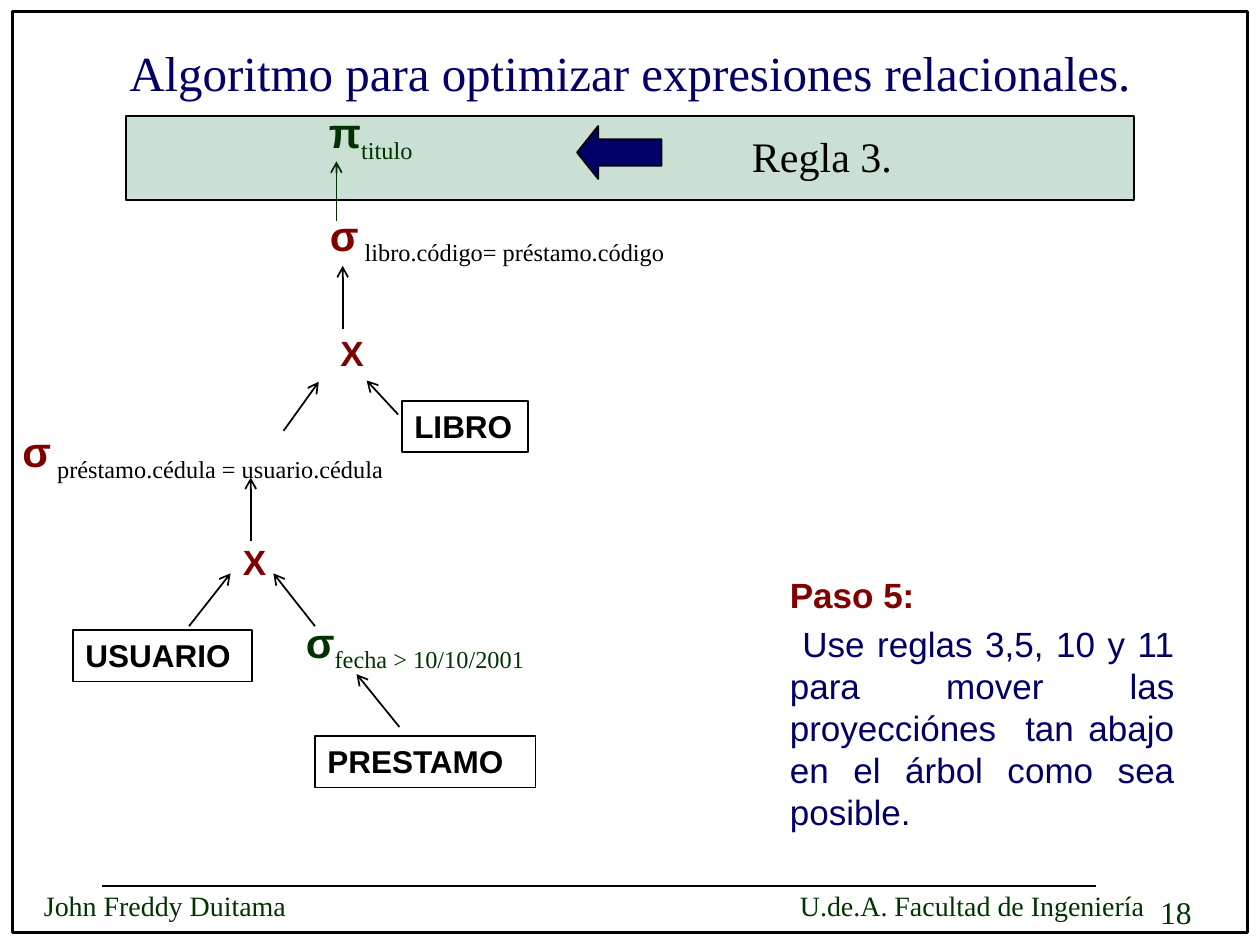
from lxml import etree
from pptx import Presentation
from pptx import util as u
from pptx.dml.color import RGBColor
from pptx.enum import shapes, text
from pptx.oxml import ns

COLORS = {"ink": "000000", "navy": "000066", "green": "003300",
          "maroon": "800000", "band": "CAE0D4"}
SERIF, SANS = "Times New Roman", "Arial"
LEFT, CENTER, JUSTIFY = (text.PP_ALIGN.LEFT, text.PP_ALIGN.CENTER,
                         text.PP_ALIGN.JUSTIFY)


def rgb(name):
    return RGBColor.from_string(COLORS[name])


def inches(*lengths):
    return [u.Inches(length) for length in lengths]


def write(frame, content, size=18, font=SANS, color="ink", bold=False,
          align=LEFT, before=0, tab=None, subscript=None, subscript_color="ink"):
    """Add one paragraph, with an optional subscript run after its text."""
    first = not frame.text
    paragraph = frame.paragraphs[0] if first else frame.add_paragraph()
    paragraph.alignment = align
    paragraph.space_before = u.Pt(before)
    if tab:
        tabs = etree.SubElement(paragraph._p.get_or_add_pPr(), ns.qn("a:tabLst"))
        etree.SubElement(tabs, ns.qn("a:tab"), pos=str(u.Inches(tab)), algn="l")
    parts = [(content, font, color, bold)]
    if subscript:
        parts.append((subscript, SERIF, subscript_color, False))
    for index, (words, face, ink, heavy) in enumerate(parts):
        run = paragraph.add_run()
        run.text = words
        run.font.size, run.font.name, run.font.bold = u.Pt(size), face, heavy
        run.font.color.rgb = rgb(ink)
        if index:
            run._r.get_or_add_rPr().set("baseline", "-25000")


def add_text(slide, box, content, **style):
    frame = slide.shapes.add_textbox(*inches(*box)).text_frame
    frame.word_wrap = True
    frame.auto_size = text.MSO_AUTO_SIZE.SHAPE_TO_FIT_TEXT
    write(frame, content, **style)
    return frame


def add_block(slide, box, kind=shapes.MSO_SHAPE.RECTANGLE, fill=None, width=1):
    block = slide.shapes.add_shape(kind, *inches(*box))
    block.shadow.inherit = False
    if fill:
        block.fill.solid()
        block.fill.fore_color.rgb = rgb(fill)
    else:
        block.fill.background()
    block.line.color.rgb = rgb("ink")
    block.line.width = u.Pt(width)
    return block


def add_line(slide, start, end, color="ink", arrow=False):
    line = slide.shapes.add_connector(shapes.MSO_CONNECTOR.STRAIGHT,
                                      *inches(*start, *end))
    line.line.color.rgb = rgb(color)
    line.line.width = u.Pt(1)
    if arrow:
        etree.SubElement(line.line._get_or_add_ln(), ns.qn("a:tailEnd"), type="arrow")
    etree.SubElement(line._element.spPr, ns.qn("a:effectLst"))


def draw_frame(slide, box):
    """Page border, footer rule, footer and page number."""
    left, top, width, height = box
    bottom = top + height
    add_block(slide, box, width=2)
    add_line(slide, (left + 0.71, bottom - 0.37), (left + 8.6, bottom - 0.37))
    add_text(slide, (left + 0.15, bottom - 0.4, 9.25, 0.35),
             "John Freddy Duitama\tU.de.A. Facultad de Ingeniería",
             size=16, font=SERIF, color="green", tab=6)
    add_text(slide, (left + 9.01, bottom - 0.36, 0.77, 0.4), "18",
             font=SERIF, color="green")


def place_title(slide, box):
    title = slide.shapes.title
    title.left, title.top, title.width, title.height = inches(*box)
    title.text_frame.word_wrap = True
    title.text_frame.vertical_anchor = text.MSO_ANCHOR.MIDDLE
    write(title.text_frame, "Algoritmo para optimizar expresiones relacionales.",
          size=28, font=SERIF, color="navy", align=CENTER)


def draw_rule_band(slide, box):
    """Highlighted band with the rule that applies to the projection."""
    left, top = box[:2]
    add_block(slide, box, fill="band")
    arrow = add_block(slide, (left + 3.58, top + 0.08, 0.67, 0.42),
                      shapes.MSO_SHAPE.LEFT_ARROW, fill="navy")
    arrow.adjustments[0], arrow.adjustments[1] = 0.5, 0.4
    add_text(slide, (left + 4.87, top + 0.07, 2.83, 0.5), "Regla 3.",
             size=24, font=SERIF)


def draw_tree(slide, box):
    """Query tree: operators, joins, relations and the arrows between them."""
    left, top = box[:2]

    operators = [
        (2.42, 0, 6.42, " π", "titulo", "green", "green"),
        (2.52, 0.81, 6.83, "σ", " libro.código= préstamo.código", "maroon", "ink"),
        (0.08, 2.53, 3.67, "σ", " préstamo.cédula = usuario.cédula", "maroon", "ink"),
        (2.33, 4.04, 6.83, "σ", "fecha > 10/10/2001", "green", "green"),
    ]
    for x, y, width, symbol, condition, color, condition_color in operators:
        add_text(slide, (left + x, top + y, width, 0.5), symbol, size=24,
                 color=color, bold=True, align=JUSTIFY, subscript=condition,
                 subscript_color=condition_color)

    joins = [(2.42, 1.78, 0.75, CENTER), (1.83, 3.44, 0.5, JUSTIFY)]
    for x, y, width, align in joins:
        add_text(slide, (left + x, top + y, width, 0.43), "X", size=20,
                 color="maroon", bold=True, align=align)

    relations = [(3.19, 2.38, 1, "LIBRO"), (0.58, 4.2, 1.42, "USUARIO"),
                 (2.5, 5.04, 1.75, "PRESTAMO")]
    for x, y, width, name in relations:
        frame = add_block(slide, (left + x, top + y, width, 0.41)).text_frame
        frame.word_wrap = True
        frame.vertical_anchor = text.MSO_ANCHOR.TOP
        write(frame, name, bold=True, align=JUSTIFY)

    arrows = [
        (2.67, 0.95, 2.67, 0.48, "green"),
        (2.72, 1.81, 2.72, 1.31, "ink"),
        (2.25, 2.62, 2.53, 2.23, "ink"),
        (3.16, 2.49, 2.91, 2.22, "ink"),
        (1.99, 3.49, 1.99, 2.99, "ink"),
        (1.5, 4.17, 1.83, 3.75, "ink"),
        (2.5, 4.17, 2.17, 3.75, "ink"),
        (3.17, 4.97, 2.83, 4.55, "ink"),
    ]
    for x1, y1, x2, y2, color in arrows:
        add_line(slide, (left + x1, top + y1), (left + x2, top + y2),
                 color=color, arrow=True)


def write_step(slide, box):
    step = add_text(slide, box, "Paso 5:", size=20, color="maroon", bold=True,
                    align=JUSTIFY)
    write(step, " Use reglas 3,5, 10 y 11 para mover las proyecciónes  tan abajo "
          "en el árbol como sea posible.", size=20, color="navy",
          align=JUSTIFY, before=4)


def main():
    deck = Presentation()
    deck.slide_width, deck.slide_height = inches(10, 7.5)
    slide = deck.slides.add_slide(deck.slide_layouts[5])
    draw_frame(slide, (0.1, 0.09, 9.8, 7.31))
    place_title(slide, (0.75, 0.28, 8.5, 0.58))
    draw_rule_band(slide, (1, 0.92, 8, 0.67))
    draw_tree(slide, (0, 0.8, 9.35, 5.45))
    write_step(slide, (6.17, 4.5, 3.25, 2.17))
    deck.save("out.pptx")


if __name__ == "__main__":
    main()
